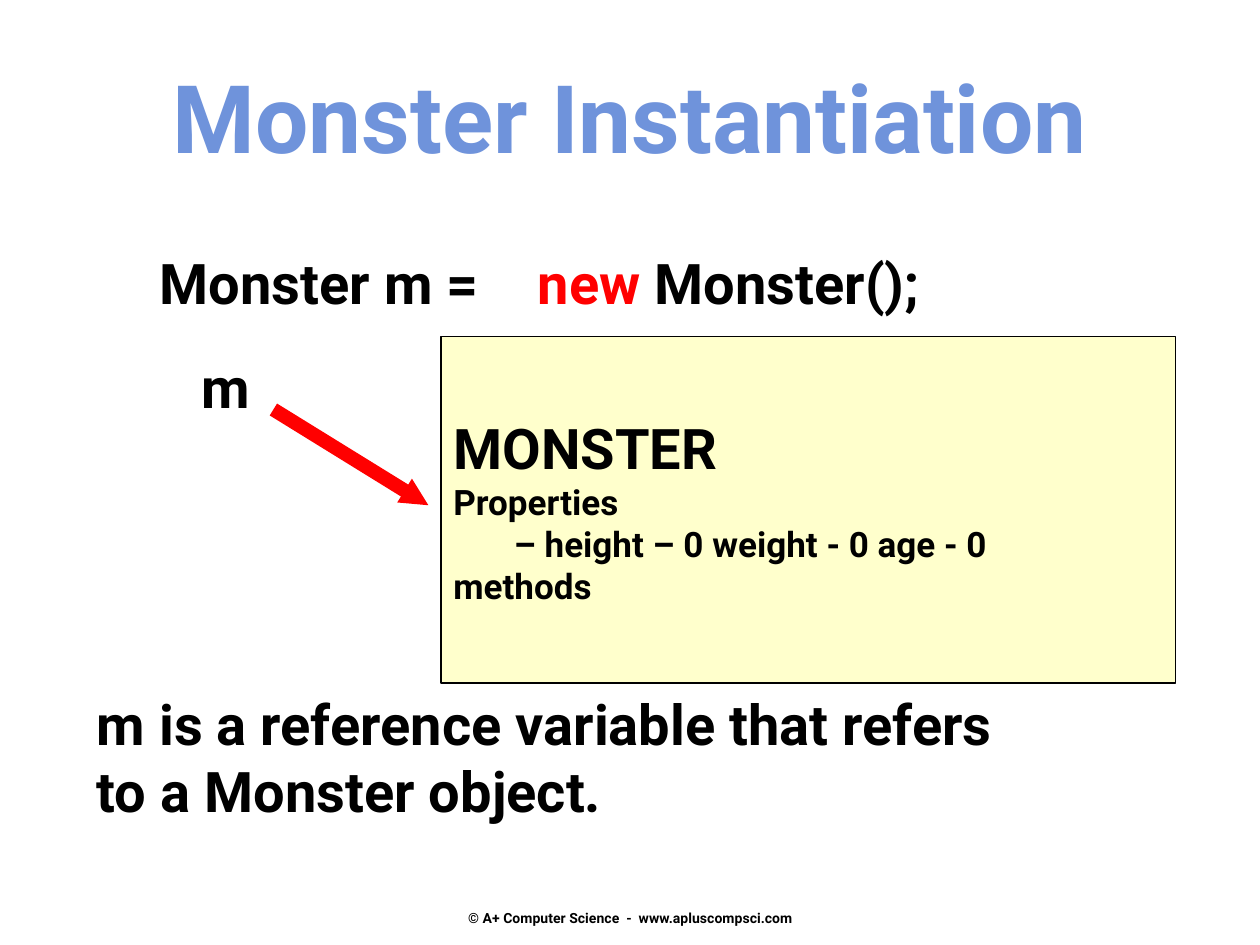
from lxml import etree
from pptx import Presentation
from pptx.dml.color import RGBColor
from pptx.enum import shapes, text
from pptx.oxml.ns import qn
from pptx.util import Inches, Pt

BLACK = RGBColor(0, 0, 0)
RED = RGBColor(0xFF, 0, 0)
BLUE = RGBColor(0x6F, 0x93, 0xDB)
CREAM = RGBColor(0xFF, 0xFF, 0xCC)
FONT = "Roboto"
TOP, MIDDLE = text.MSO_ANCHOR.TOP, text.MSO_ANCHOR.MIDDLE
LEFT, CENTER = text.PP_ALIGN.LEFT, text.PP_ALIGN.CENTER

# Content: a paragraph is (runs, size, indent in inches), a run is (text, colour)
TITLE = [([("Monster Instantiation", BLUE)], 54, 0)]
OBJECT = [
    ([("MONSTER", BLACK)], 32, 0),
    ([("Properties", BLACK)], 20, 0),
    ([("– height – 0 weight - 0 age - 0", BLACK)], 20, 0.48),
    ([("methods", BLACK)], 20, 0),
]
LABELS = [  # box (left, top, width, height), paragraphs, alignment
    ((1.17, 1.92, 3.08, 0.63), [([("Monster m =", BLACK)], 32, 0)], LEFT),
    ((4.17, 1.92, 3.67, 0.63),
     [([("new", RED), (" Monster();", BLACK)], 32, 0)], LEFT),
    ((1.5, 2.75, 0.62, 0.63), [([("m", BLACK)], 32, 0)], LEFT),
    ((0.67, 5.42, 8.19, 1.17),
     [([("m is a reference variable that refers", BLACK)], 32, 0),
      ([("to a Monster object.", BLACK)], 32, 0)], LEFT),
    ((3.42, 7.17, 3.17, 0.23),
     [([("© A+ Computer Science  -  www.apluscompsci.com", BLACK)], 8, 0)], CENTER),
]
OBJECT_BOX = (3.5, 2.67, 5.83, 2.75)
ARROW = (2.17, 3.25, 3.4, 4.01)


def inches(values):
    return [Inches(v) for v in values]


def write(shape, paragraphs, align=LEFT, anchor=TOP):
    tf = shape.text_frame
    frame = dict(word_wrap=True, auto_size=text.MSO_AUTO_SIZE.NONE,
                 vertical_anchor=anchor,
                 margin_left=Inches(0.1), margin_right=Inches(0.1),
                 margin_top=Inches(0.05), margin_bottom=Inches(0.05))
    for name, value in frame.items():
        setattr(tf, name, value)
    for i, (runs, size, indent) in enumerate(paragraphs):
        p = tf.add_paragraph() if i else tf.paragraphs[0]
        layout = dict(alignment=align, space_before=Pt(0), line_spacing=1.0)
        for name, value in layout.items():
            setattr(p, name, value)
        if indent:
            p._p.get_or_add_pPr().set("marL", str(Inches(indent)))
        for words, color in runs:
            r = p.add_run()
            r.text = words
            for name, value in dict(name=FONT, size=Pt(size), bold=True).items():
                setattr(r.font, name, value)
            r.font.color.rgb = color


prs = Presentation()
prs.slide_width, prs.slide_height = Inches(10), Inches(7.5)
s = prs.slides.add_slide(prs.slide_layouts[5])

# Title
title = s.shapes.title
title.left, title.top, title.width, title.height = inches((0, 0.42, 10, 1.01))
write(title, TITLE, CENTER)

# Monster object
box = s.shapes.add_shape(shapes.MSO_SHAPE.RECTANGLE, *inches(OBJECT_BOX))
box.shadow.inherit = False
box.fill.solid()
box.fill.fore_color.rgb = CREAM
box.line.color.rgb = BLACK
box.line.width = Pt(1)
write(box, OBJECT, anchor=MIDDLE)

# Reference arrow
arrow = s.shapes.add_connector(shapes.MSO_CONNECTOR.STRAIGHT, *inches(ARROW))
arrow.line.color.rgb = RED
arrow.line.width = Pt(8)
etree.SubElement(arrow.line._get_or_add_ln(), qn("a:tailEnd"),
                 type="triangle", w="sm", len="sm")
etree.SubElement(arrow._element.spPr, qn("a:effectLst"))

# Code, explanation and footer
for place, paragraphs, align in LABELS:
    anchor = MIDDLE if align == CENTER else TOP
    write(s.shapes.add_textbox(*inches(place)), paragraphs, align, anchor)

prs.save("out.pptx")
